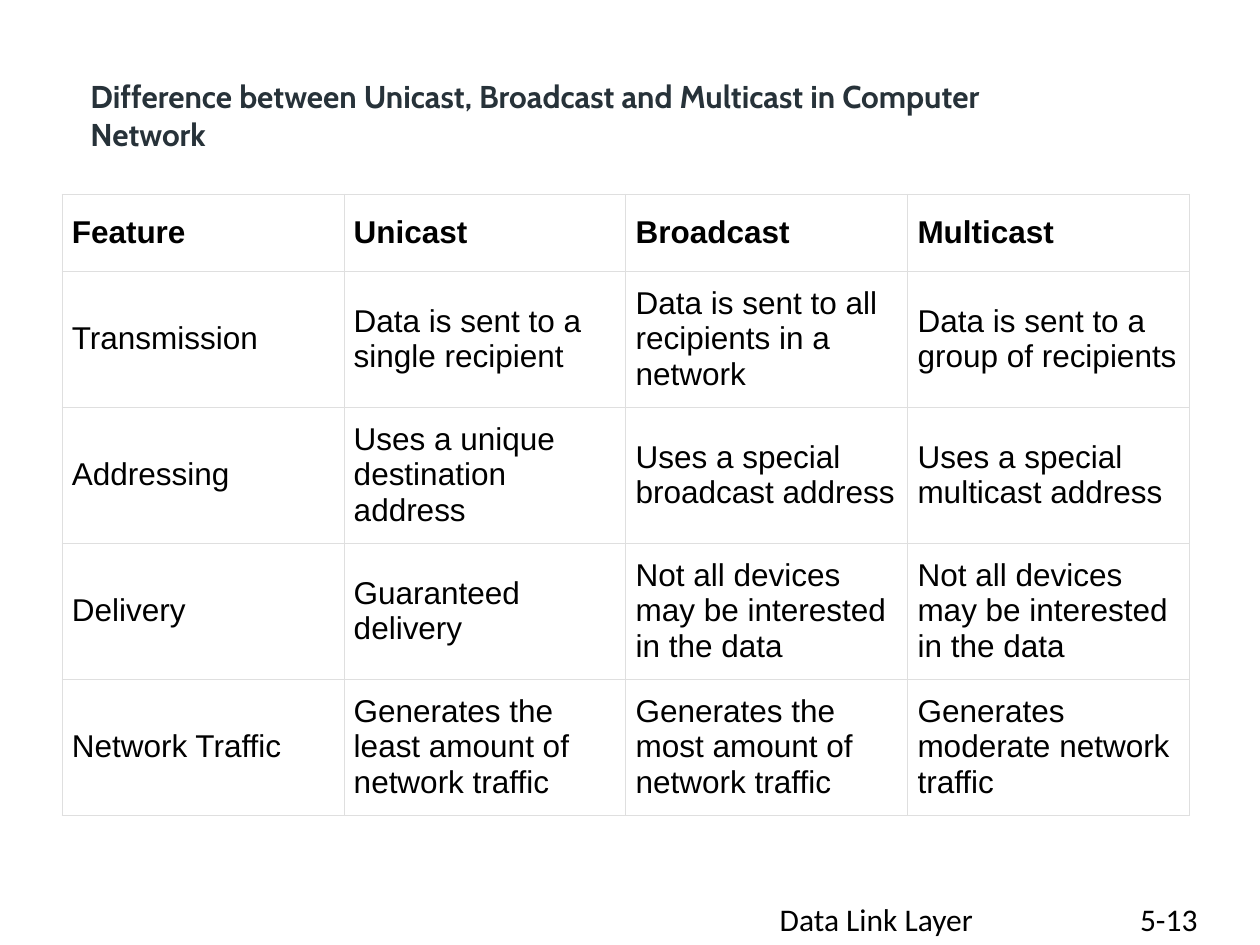
from dataclasses import dataclass
from lxml.etree import SubElement
from pptx import Presentation
from pptx.dml.color import RGBColor
from pptx.enum.text import MSO_ANCHOR, MSO_AUTO_SIZE
from pptx.oxml.ns import qn
from pptx.util import Inches, Pt


@dataclass(frozen=True)
class Theme:
    ink: str = "000000"
    heading: str = "273239"
    paper: str = "FFFFFF"
    border: str = "DFDFDF"
    border_width: float = 0.18
    size: int = 18
    body_font: str = "Arial"
    title_font: str = "Cabin"
    footer_font: str = "Calibri"


THEME = Theme()
TITLE = "Difference between Unicast, Broadcast and Multicast in Computer Network"
COMPARISON = [
    ["Feature", "Unicast", "Broadcast", "Multicast"],
    ["Transmission\u00a0", "Data is sent to a single recipient",
     "Data is sent to all recipients in a network",
     "Data is sent to a group of recipients"],
    ["Addressing\u00a0", "Uses a unique destination address",
     "Uses a special broadcast address", "Uses a special multicast address"],
    ["Delivery\u00a0", "Guaranteed delivery",
     "Not all devices may be interested in the data",
     "Not all devices may be interested in the data"],
    ["Network Traffic", "Generates the least amount of network traffic",
     "Generates the most amount of network traffic",
     "Generates moderate network traffic"],
]


def apply_format(target, values):
    for name, value in values.items():
        setattr(target, name, value)


def write_text(frame, text, font, color=THEME.ink, bold=False):
    span = frame.paragraphs[0].add_run()
    span.text = text
    apply_format(span.font, {"name": font, "size": Pt(THEME.size), "bold": bold})
    span.font.color.rgb = RGBColor.from_string(color)


def add_text(page, place, text, font, fit=MSO_AUTO_SIZE.NONE, **style):
    box = page.shapes.add_textbox(*map(Inches, place))
    apply_format(box.text_frame, {"word_wrap": True, "auto_size": fit})
    write_text(box.text_frame, text, font, **style)


def add_borders(cell):
    properties = cell._tc.get_or_add_tcPr()
    for index, side in enumerate(("lnL", "lnR", "lnT", "lnB")):
        line = properties.makeelement(
            qn(f"a:{side}"), {"w": str(Pt(THEME.border_width))})
        properties.insert(index, line)
        fill = SubElement(line, qn("a:solidFill"))
        SubElement(fill, qn("a:srgbClr"), val=THEME.border)


def format_cell(cell, text, bold):
    apply_format(cell, {
        "vertical_anchor": MSO_ANCHOR.MIDDLE,
        "margin_left": Inches(0.08), "margin_right": Inches(0.08),
        "margin_top": Inches(0.12), "margin_bottom": Inches(0.12),
    })
    cell.fill.solid()
    cell.fill.fore_color.rgb = RGBColor.from_string(THEME.paper)
    write_text(cell.text_frame, text, THEME.body_font, bold=bold)
    add_borders(cell)


def add_comparison(page, place, rows, header_height, body_height):
    frame = page.shapes.add_table(len(rows), len(rows[0]), *map(Inches, place))
    table = frame.table
    apply_format(table, {"first_row": False, "horz_banding": False})
    for row_index, texts in enumerate(rows):
        is_header = row_index == 0
        table.rows[row_index].height = Inches(
            header_height if is_header else body_height)
        for column_index, text in enumerate(texts):
            format_cell(table.cell(row_index, column_index), text, is_header)
    frame.height = Inches(place[3])


def main():
    deck = Presentation()
    apply_format(deck, {"slide_width": Inches(10), "slide_height": Inches(7.5)})
    page = deck.slides.add_slide(deck.slide_layouts[6])
    add_text(page, (6.09, 7.09, 3.17, 0.5), "Data Link Layer", THEME.footer_font)
    add_text(page, (8.95, 7.09, 0.74, 0.5), "5-13", THEME.footer_font)
    add_comparison(page, (0.49, 1.54, 8.95, 4.92), COMPARISON, 0.61, 0.9)
    add_text(page, (0.62, 0.56, 8.07, 0.71), TITLE, THEME.title_font,
             fit=MSO_AUTO_SIZE.SHAPE_TO_FIT_TEXT, color=THEME.heading, bold=True)
    deck.save("out.pptx")


main()
